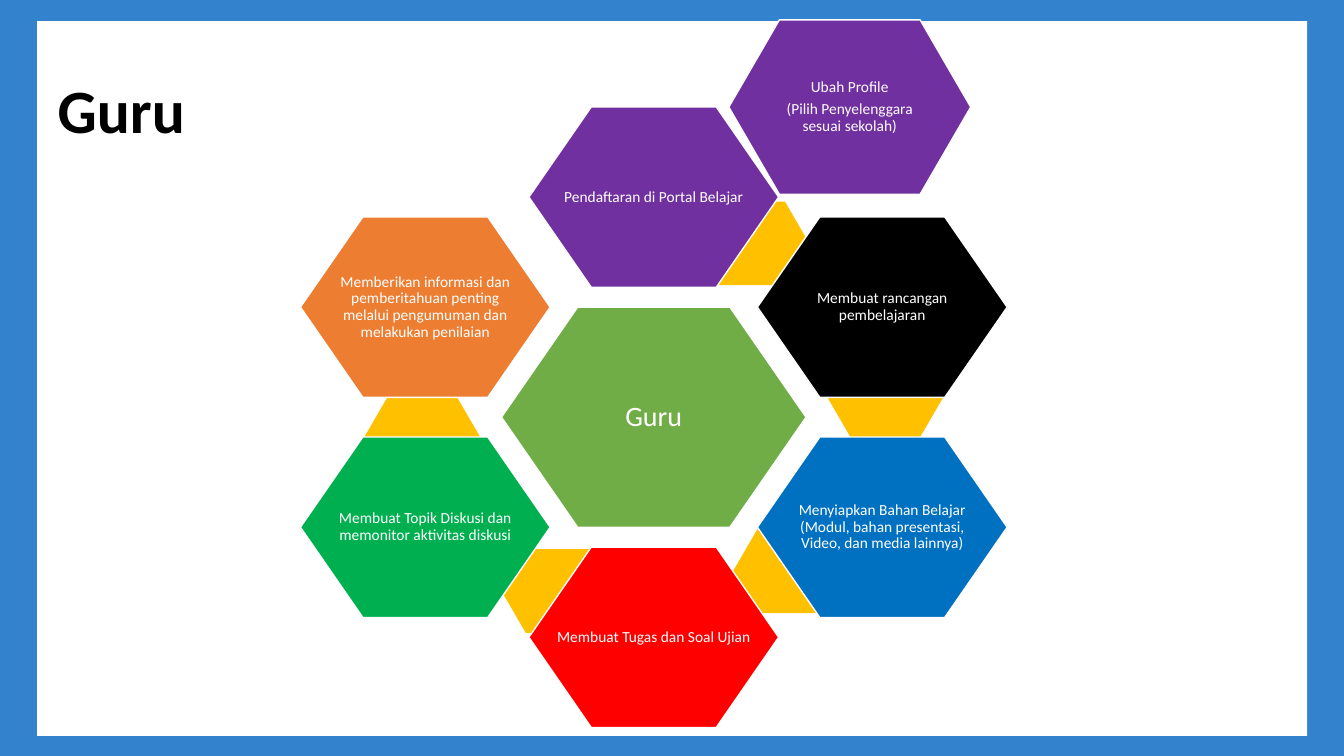
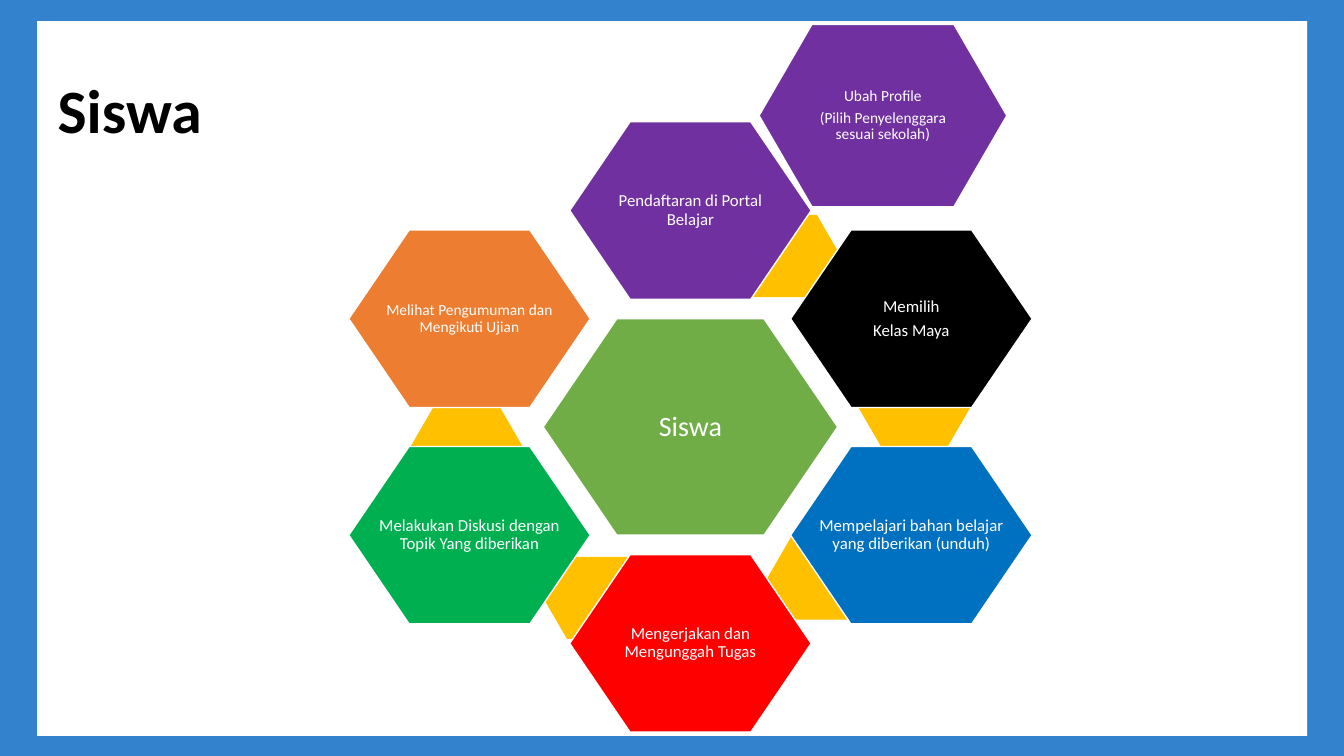
from pptx import Presentation
from pptx.dml.color import RGBColor
from pptx.enum.shapes import MSO_SHAPE
from pptx.enum.text import MSO_ANCHOR, PP_ALIGN
from pptx.util import Pt

BLACK = RGBColor(0x00, 0x00, 0x00)
WHITE = RGBColor(0xFF, 0xFF, 0xFF)
BAND = RGBColor(0x33, 0x82, 0xCE)
GOLD = RGBColor(0xFF, 0xC0, 0x00)
GREEN = RGBColor(0x70, 0xAD, 0x47)
PURPLE = RGBColor(0x70, 0x30, 0xA0)
BLUE = RGBColor(0x00, 0x70, 0xC0)
RED = RGBColor(0xFF, 0x00, 0x00)
JADE = RGBColor(0x00, 0xB0, 0x50)
ORANGE = RGBColor(0xED, 0x7D, 0x31)

WIDTH, HEIGHT = 960, 540

# Offsets from the core's centre, as shares of the core's width and height
NODES = [
    (0, -1, PURPLE), (0.75, -0.5, BLACK), (0.75, 0.5, BLUE),
    (0, 1, RED), (-0.75, 0.5, JADE), (-0.75, -0.5, ORANGE),
]
LINKS = [(0.32, -0.79), (0.76, -0.09), (0.45, 0.7), (-0.31, 0.79), (-0.76, 0.09)]
NODE_SIZE, LINK_SIZE, LABEL_SIZE = 0.82, 0.38, 0.67

BADGE_TEXT = ["Ubah Profile", "(Pilih Penyelenggara sesuai sekolah)"]


def centred(mid_x, mid_y, wide, high):
    return mid_x - wide / 2, mid_y - high / 2, wide, high


class Deck:
    TITLE = {"name": "Calibri", "size": Pt(44), "bold": True}
    BODY = {"name": "Calibri"}

    def __init__(self):
        self.file = Presentation()
        self.file.slide_width, self.file.slide_height = Pt(WIDTH), Pt(HEIGHT)
        self.slide = self.group = None

    def start(self, title):
        first = self.slide is None
        layout = self.file.slide_layouts[5]
        self.slide = self.file.slides.add_slide(layout)
        if first:
            self.frame()
        self.title(title)
        self.group = self.slide.shapes.add_group_shape()

    def frame(self):
        """Put the blue border and white panel on the slide master."""
        self.group = self.slide
        tree = self.file.slide_master.shapes.element
        boxes = [((0, 0, WIDTH, HEIGHT), BAND), ((26.6, 15.1, 907.2, 510.5), WHITE)]
        for rank, (box, fill) in enumerate(boxes):
            shape = self.shape(MSO_SHAPE.RECTANGLE, box, fill)
            shape.element.nvSpPr.cNvPr.set("id", str(100 + rank))
            tree.insert(2 + rank, shape.element)

    def title(self, text):
        title = self.slide.shapes.title
        place = {"left": 34, "top": 29, "width": 274, "height": 104}
        for key, value in place.items():
            setattr(title, key, Pt(value))
        frame = title.text_frame
        frame.text = text
        frame.vertical_anchor = MSO_ANCHOR.MIDDLE
        para = frame.paragraphs[0]
        para.alignment = PP_ALIGN.LEFT
        para.line_spacing = 0.9
        self.font(para.font, self.TITLE, BLACK)

    def font(self, font, style, colour):
        for key, value in style.items():
            setattr(font, key, value)
        font.color.rgb = colour

    def paint(self, shape, fill, edged):
        shape.shadow.inherit = False
        shape.fill.solid()
        shape.fill.fore_color.rgb = fill
        if edged:
            shape.line.color.rgb = WHITE
            shape.line.width = Pt(1)
        else:
            shape.line.fill.background()
        return shape

    def shape(self, kind, box, fill, edged=False):
        shape = self.group.shapes.add_shape(kind, *map(Pt, box))
        return self.paint(shape, fill, edged)

    def hexagon(self, box, fill, edged=False):
        shape = self.shape(MSO_SHAPE.HEXAGON, box, fill, edged)
        shape.adjustments[0] = 0.29

    def node(self, box, fill, lines, size):
        """Draw a wide six-sided outline with text inside."""
        left, top, wide, high = box
        near, far = left + wide / 4, left + wide * 3 / 4
        right, base, mid = left + wide, top + high, top + high / 2
        points = [(near, top), (far, top), (right, mid), (far, base), (near, base)]
        pen = self.group.shapes.build_freeform(Pt(left), Pt(mid))
        pen.add_line_segments([(Pt(x), Pt(y)) for x, y in points], close=True)
        shape = self.paint(pen.convert_to_shape(), fill, True)
        self.text(shape, lines, size, wide * 0.11, high * 0.14)

    def text(self, shape, lines, size, side, edge):
        frame = shape.text_frame
        layout = {
            "word_wrap": True, "vertical_anchor": MSO_ANCHOR.MIDDLE,
            "margin_left": Pt(side), "margin_right": Pt(side),
            "margin_top": Pt(edge), "margin_bottom": Pt(edge),
        }
        for key, value in layout.items():
            setattr(frame, key, value)
        frame.text = "\n".join(lines)
        flow = {
            "alignment": PP_ALIGN.CENTER, "line_spacing": 0.9,
            "space_after": Pt(size * 0.35),
        }
        for para in frame.paragraphs:
            for key, value in flow.items():
                setattr(para, key, value)
            self.font(para.font, {**self.BODY, "size": Pt(size)}, WHITE)

    def badge(self, box):
        left, top, wide, high = box
        self.hexagon(box, PURPLE, True)
        inner = centred(left + wide / 2, top + high / 2,
                        wide * LABEL_SIZE, high * LABEL_SIZE)
        label = self.shape(MSO_SHAPE.RECTANGLE, inner, PURPLE)
        self.text(label, BADGE_TEXT, 11, 1.4, 1.4)

    def ring(self, name, core, steps, badge):
        """Draw the core, its six linked nodes and the badge."""
        mid_x, mid_y, wide, high = core

        def cell(dx, dy, scale):
            return centred(mid_x + dx * wide, mid_y + dy * high,
                           wide * scale, high * scale)

        self.node(cell(0, 0, 1), GREEN, [name], 20)
        for link in LINKS:
            self.hexagon(cell(*link, LINK_SIZE), GOLD)
        for (dx, dy, fill), (size, *lines) in zip(NODES, steps):
            self.node(cell(dx, dy, NODE_SIZE), fill, lines, size)
        self.badge(badge)


PAGES = [
    {
        "name": "Guru",
        "core": (467, 298, 217.6, 157.2),
        "badge": (520.6, 14.2, 172.8, 124.6),
        "steps": [
            (11, "Pendaftaran di Portal Belajar"),
            (11, "Membuat rancangan pembelajaran"),
            (11, "Menyiapkan Bahan Belajar (Modul, bahan presentasi, "
                 "Video, dan media lainnya)"),
            (11, "Membuat Tugas dan Soal Ujian"),
            (11, "Membuat Topik Diskusi dan memonitor aktivitas diskusi"),
            (11, "Memberikan informasi dan pemberitahuan penting "
                 "melalui pengumuman dan melakukan penilaian"),
        ],
    },
    {
        "name": "Siswa",
        "core": (493.2, 305, 210.4, 154.6),
        "badge": (542.2, 17.4, 177, 130.4),
        "steps": [
            (12, "Pendaftaran di Portal Belajar"),
            (12, "Memilih", "Kelas Maya"),
            (12, "Mempelajari bahan belajar yang diberikan (unduh)"),
            (12, "Mengerjakan dan Mengunggah Tugas"),
            (12, "Melakukan Diskusi dengan Topik Yang diberikan"),
            (11, "Melihat Pengumuman dan Mengikuti Ujian"),
        ],
    },
]


def main():
    deck = Deck()
    for page in PAGES:
        deck.start(page["name"])
        deck.ring(**page)
    deck.file.save("out.pptx")


if __name__ == "__main__":
    main()
